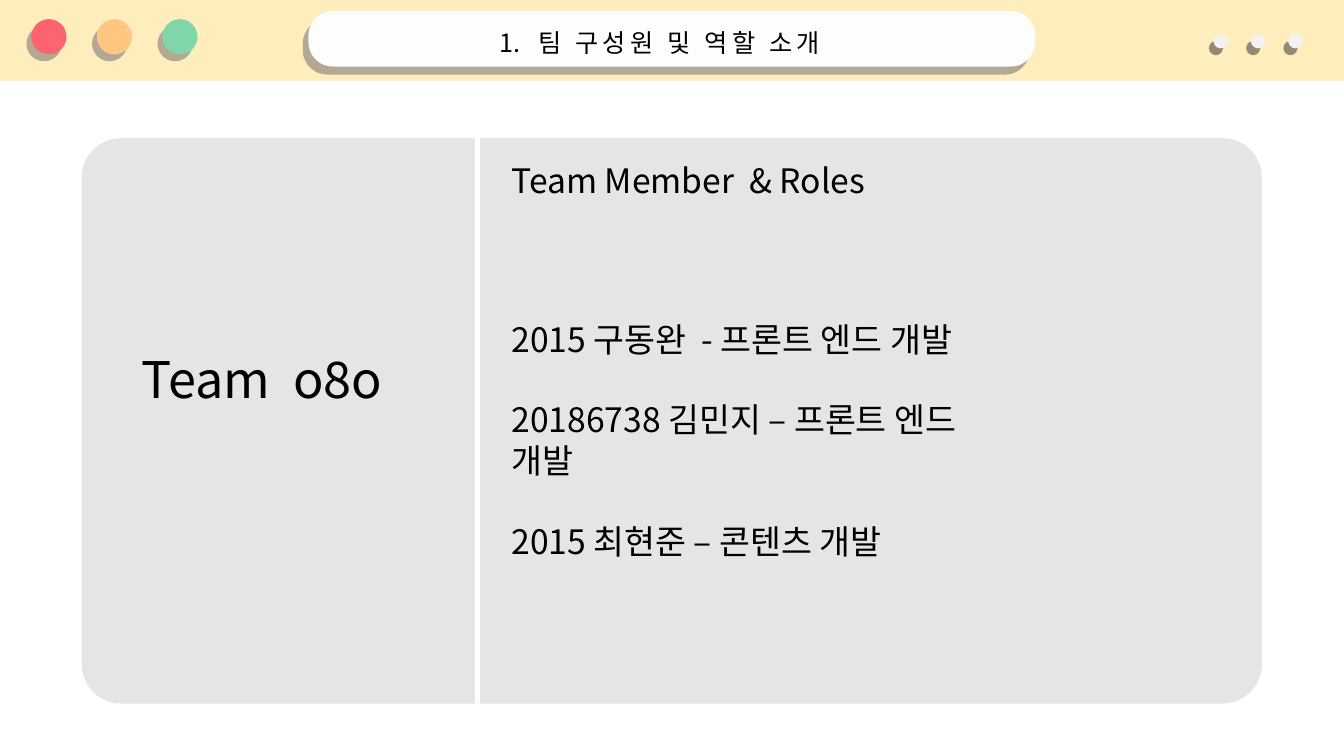
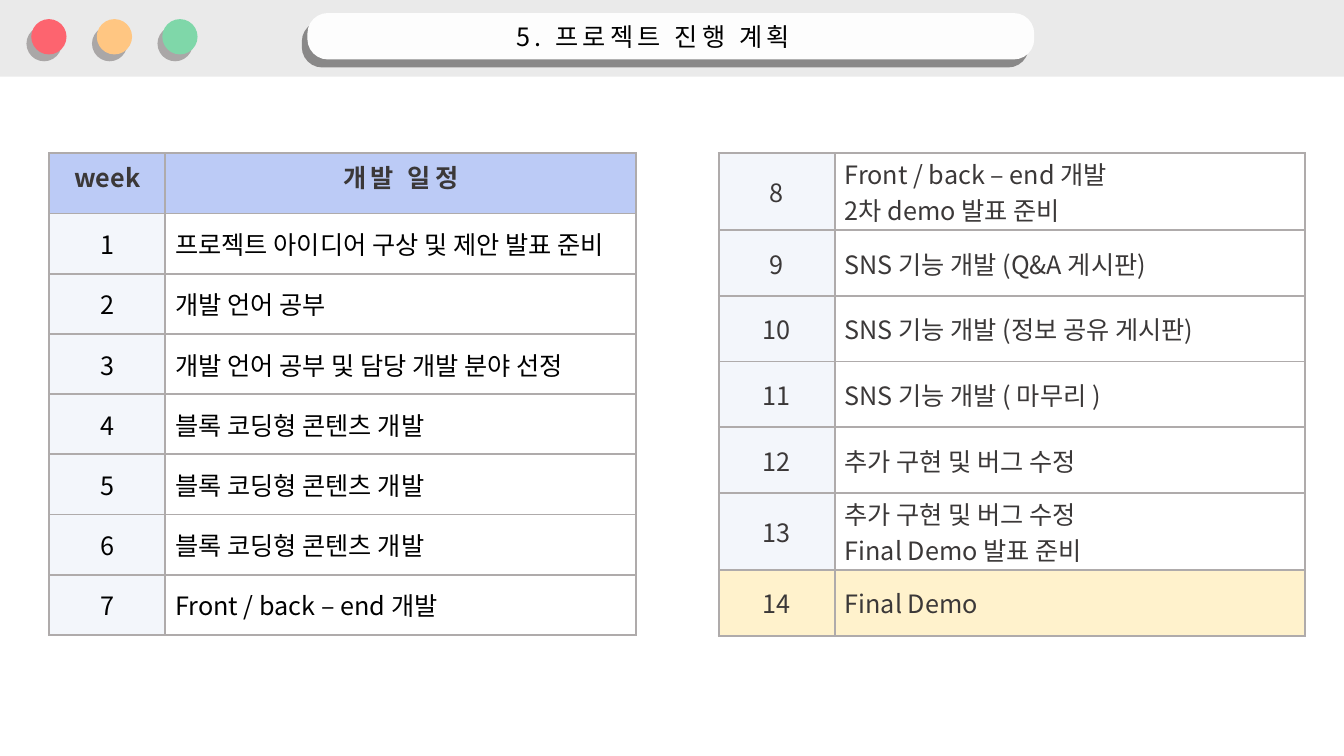
import pptx
import pptx.chart.data
import pptx.dml.color
import pptx.enum.shapes
import pptx.enum.text
import pptx.oxml.ns
import pptx.util
from lxml import etree

SHAPES = pptx.enum.shapes.MSO_SHAPE
ALIGN = pptx.enum.text.PP_ALIGN
ANCHOR = pptx.enum.text.MSO_ANCHOR
FONT = "Noto Sans CJK KR"
COLUMNS, ROWS = 40, 22.5
UNIT = pptx.util.Inches(13.33) / COLUMNS
COLORS = {
    "black": "000000", "ink": "3B3838", "white": "FFFFFF", "pill": "FDFDFD",
    "cream": "FFEEBD", "silver": "EAEAEA", "panel": "D9D9D9", "dot": "F2F2F2",
    "red": "FD646F", "orange": "FFC682", "green": "7FD7A9", "shade": "767171",
    "border": "AFABAB", "heading": "BCCBF6", "week": "F3F6FB", "final": "FFF2CC",
}
FIRST_WEEKS = [
    ("week", "개발 일정"),
    ("1", "프로젝트 아이디어 구상 및 제안 발표 준비"),
    ("2", "개발 언어 공부"),
    ("3", "개발 언어 공부 및 담당 개발 분야 선정"),
    ("4", "블록 코딩형 콘텐츠 개발"),
    ("5", "블록 코딩형 콘텐츠 개발"),
    ("6", "블록 코딩형 콘텐츠 개발"),
    ("7", "Front / back – end 개발"),
]
LAST_WEEKS = [
    ("8", "Front / back – end 개발\n2차 demo 발표 준비"),
    ("9", "SNS 기능 개발 (Q&A 게시판)"),
    ("10", "SNS 기능 개발 (정보 공유 게시판)"),
    ("11", "SNS 기능 개발 ( 마무리 )"),
    ("12", "추가 구현 및 버그 수정"),
    ("13", "추가 구현 및 버그 수정\nFinal Demo 발표 준비"),
    ("14", "Final Demo"),
]
MEMBERS = "2015 구동완  - 프론트 엔드 개발\n20186738 김민지 – 프론트 엔드 개발\n2015 최현준 – 콘텐츠 개발"


def grid(*lengths):
    """Turn grid units into slide lengths."""
    return [pptx.util.Emu(round(length * UNIT)) for length in lengths]


def rgb(name):
    """Look up a palette colour."""
    return pptx.dml.color.RGBColor.from_string(COLORS[name])


def add_xml(parent, tag, **attributes):
    """Append a DrawingML element and return it."""
    return etree.SubElement(parent, pptx.oxml.ns.qn(tag), attributes)


def write(frame, text, size=18, color="black", bold=False, align=ALIGN.LEFT,
          anchor=ANCHOR.TOP, spacing=0, space_before=0):
    """Fill a text frame or cell frame, one paragraph per line of text."""
    frame.word_wrap = True
    frame.vertical_anchor = anchor
    for index, line in enumerate(text.split("\n")):
        paragraph = frame.add_paragraph() if index else frame.paragraphs[0]
        paragraph.alignment = align
        if index and space_before:
            paragraph.space_before = pptx.util.Pt(space_before)
        run = paragraph.add_run()
        run.text = line
        run.font.size = pptx.util.Pt(size)
        run.font.bold = bold
        run.font.color.rgb = rgb(color)
        run.font.name = FONT
        properties = run._r.get_or_add_rPr()
        properties.set("spc", str(spacing * 100))
        add_xml(properties, "a:ea", typeface=FONT)


def add_text(slide, box, text, **style):
    """Add a text box at a grid box."""
    write(slide.shapes.add_textbox(*grid(*box)).text_frame, text, **style)


def add_block(slide, kind, box, color, radius=None, opacity=None, shade=None, distance=6):
    """Add a filled shape, optionally rounded, translucent or with a hard shadow."""
    shape = slide.shapes.add_shape(kind, *grid(*box))
    shape.fill.solid()
    shape.fill.fore_color.rgb = rgb(color)
    shape.line.fill.background()
    shape.shadow.inherit = False
    properties = shape.element.spPr
    if radius is not None:
        shape.adjustments[0] = radius
    if opacity:
        fill_color = properties.find(".//" + pptx.oxml.ns.qn("a:srgbClr"))
        add_xml(fill_color, "a:alpha", val=str(opacity * 1000))
    if shade:
        effects = properties.find(pptx.oxml.ns.qn("a:effectLst"))
        shadow = add_xml(effects, "a:outerShdw", dist=str(pptx.util.Pt(distance)),
                         dir=str(125 * 60000), algn="ctr", rotWithShape="0")
        shadow_color = add_xml(shadow, "a:srgbClr", val=COLORS[shade])
        add_xml(shadow_color, "a:alpha", val="55000")


def add_circles(slide, left, top, step, size, colors, shade):
    """Add a row of evenly spaced circles."""
    for index, color in enumerate(colors):
        add_block(slide, SHAPES.OVAL, (left + index * step, top, size, size), color, shade=shade)


def add_header(slide, height, color, pill, pill_shade):
    """Draw the window-style band with its lights and title pill."""
    add_block(slide, SHAPES.RECTANGLE, (0, 0, COLUMNS, height), color)
    add_circles(slide, 0.93, 0.57, 1.95, 1.05, ("red", "orange", "green"), "shade")
    add_block(slide, SHAPES.ROUNDED_RECTANGLE, pill, "pill", radius=0.44,
              shade=pill_shade, distance=7)


def set_title(slide, box, text, numbered=False):
    """Place and format the title above the header pill."""
    title = slide.shapes.title
    title.left, title.top, title.width, title.height = grid(*box)
    slide.shapes.element.append(title.element)
    frame = title.text_frame
    frame.auto_size = pptx.enum.text.MSO_AUTO_SIZE.NONE
    write(frame, text, anchor=ANCHOR.MIDDLE, spacing=3)
    if numbered:
        properties = frame.paragraphs[0]._p.get_or_add_pPr()
        indent = pptx.util.Inches(0.38)
        properties.set("marL", str(indent))
        properties.set("indent", str(-indent))
        add_xml(properties, "a:buFont", typeface=FONT)
        add_xml(properties, "a:buAutoNum", type="arabicPeriod")


def add_team_panel(slide, box):
    """Draw the team panel: name on the left, members on the right."""
    left, top, width, height = box
    add_block(slide, SHAPES.ROUNDED_RECTANGLE, box, "panel", radius=0.07, opacity=68)
    add_block(slide, SHAPES.RECTANGLE, (left + 11.7, top, 0.15, height), "white")
    add_text(slide, (left + 1.5, top + 6.09, 10, 2.13), "Team  o8o", size=36)
    add_text(slide, (left + 12.5, top + 0.51, 20, 1.5), "Team Member  & Roles", size=24)
    add_text(slide, (left + 12.5, top + 5.22, 15.81, 6.36), MEMBERS, size=24, space_before=29)


def style_cell(cell, fill, margin):
    """Set the fill, vertical margins and borders of a cell."""
    cell.margin_top = cell.margin_bottom = pptx.util.Inches(margin)
    properties = cell._tc.get_or_add_tcPr()
    for side in ("a:lnL", "a:lnR", "a:lnT", "a:lnB"):
        line = add_xml(properties, side, w=str(pptx.util.Pt(1.5)))
        add_xml(add_xml(line, "a:solidFill"), "a:srgbClr", val=COLORS["border"])
    cell.fill.solid()
    cell.fill.fore_color.rgb = rgb(fill)


def add_schedule(slide, box, weeks, color):
    """Add a schedule table whose two-line rows are taller than the rest."""
    table = slide.shapes.add_table(len(weeks), 2, *grid(*box)).table
    table.first_row = table.horz_banding = False
    week_width, tall = 3.45, 2.28
    table.columns[0].width, table.columns[1].width = grid(week_width, box[2] - week_width)
    tall_count = sum("\n" in plan for week, plan in weeks)
    normal = (box[3] - tall_count * tall) / (len(weeks) - tall_count)
    for row, (week, plan) in enumerate(weeks):
        table.rows[row].height = grid(tall if "\n" in plan else normal)[0]
        is_heading = week == "week"
        row_fill = {"week": "heading", "14": "final"}.get(week)
        for column, text in enumerate((week, plan)):
            cell = table.cell(row, column)
            centred = is_heading or column == 0
            write(cell.text_frame, text, color="ink" if is_heading else color, bold=is_heading,
                  align=ALIGN.CENTER if centred else ALIGN.LEFT,
                  spacing=3 if is_heading and column else 0)
            cell.vertical_anchor = ANCHOR.TOP if is_heading else ANCHOR.MIDDLE
            style_cell(cell, row_fill or ("white" if column else "week"),
                       0.05 if is_heading else 0.02)


def build_team_slide(slide):
    """Build the slide that introduces the team."""
    add_team_panel(slide, (2.43, 4.11, 35.13, 16.83))
    add_header(slide, 2.4, "cream", (9.18, 0.33, 21.63, 1.65), "shade")
    add_circles(slide, 36.12, 1.02, 1.11, 0.42, ["dot"] * 3, "ink")
    set_title(slide, (14.58, 0.24, 10.86, 2.04), "팀 구성원 및 역할 소개", numbered=True)


def build_schedule_slide(slide):
    """Build the slide with the two halves of the schedule."""
    add_header(slide, 2.28, "silver", (9.15, 0.39, 21.63, 1.38), "ink")
    set_title(slide, (15.06, 0.48, 9.9, 1.2), "5. 프로젝트 진행 계획")
    add_schedule(slide, (1.47, 4.56, 17.46, 14.34), FIRST_WEEKS, "black")
    add_schedule(slide, (21.39, 4.56, 17.46, 14.34), LAST_WEEKS, "ink")


def main():
    """Create and save the presentation."""
    presentation = pptx.Presentation()
    presentation.slide_width, presentation.slide_height = grid(COLUMNS, ROWS)
    for build in (build_team_slide, build_schedule_slide):
        build(presentation.slides.add_slide(presentation.slide_layouts[5]))
    presentation.save("out.pptx")


if __name__ == "__main__":
    main()
